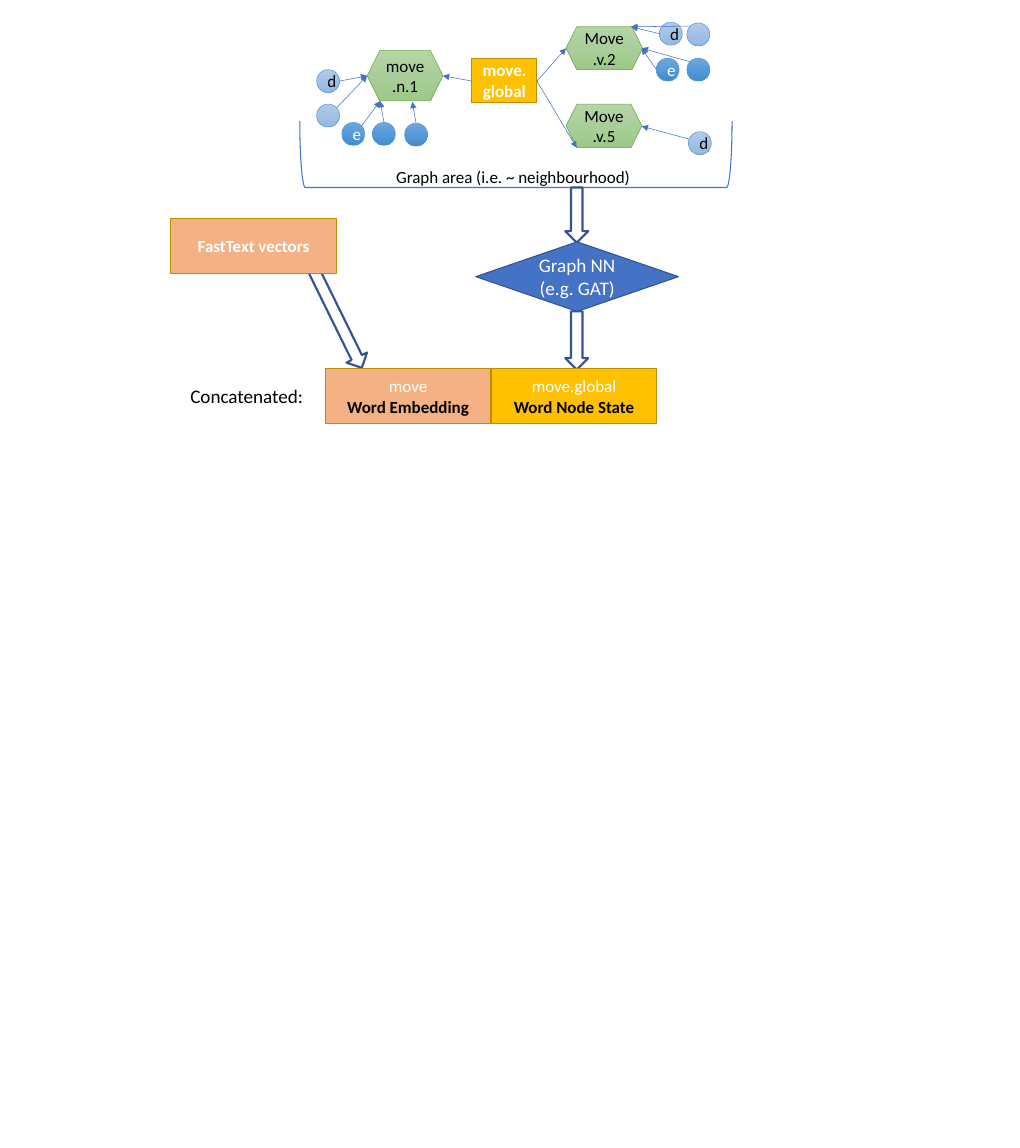
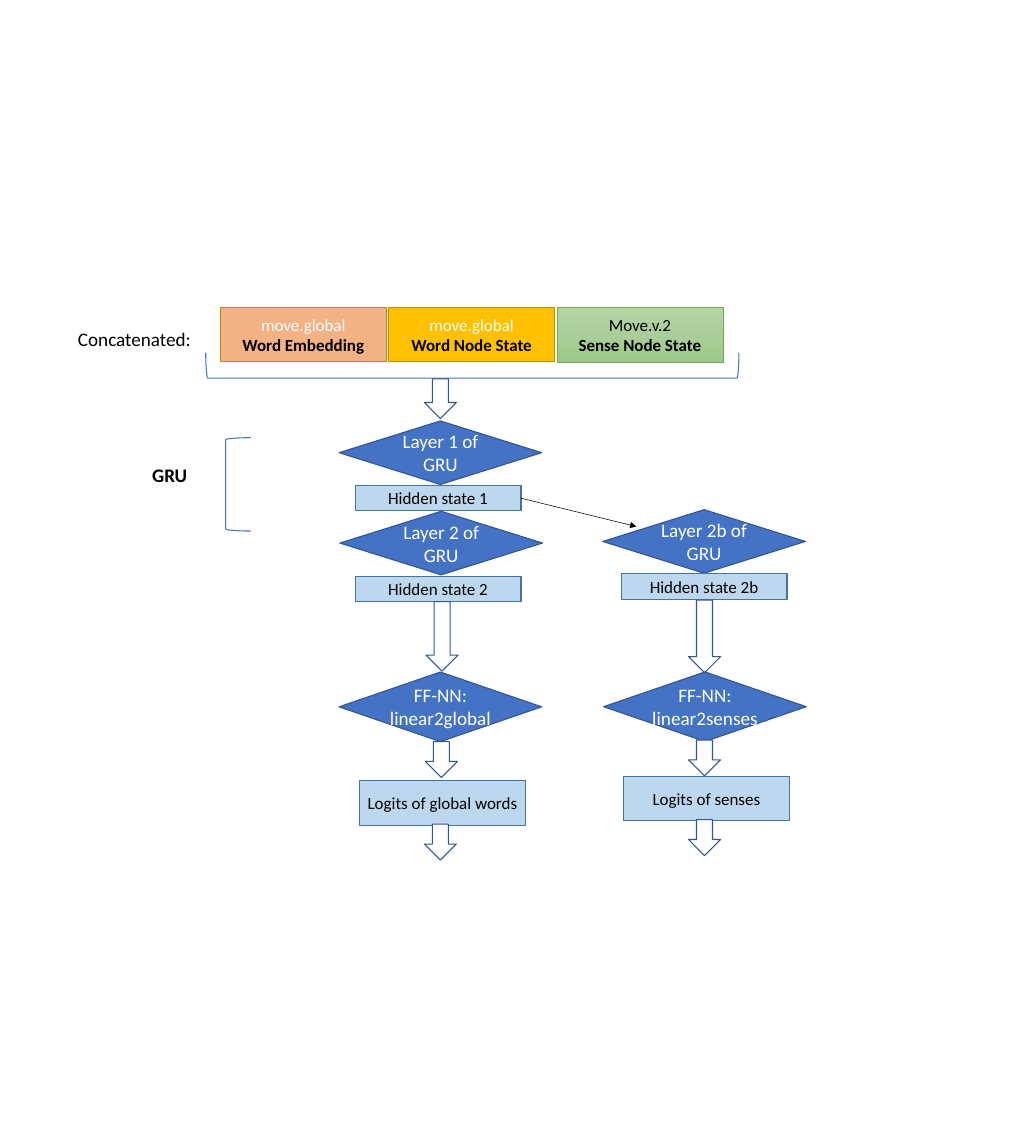
from copy import deepcopy

from lxml.etree import SubElement
from pptx import Presentation
from pptx.dml.color import RGBColor
from pptx.enum.shapes import MSO_CONNECTOR as Line, MSO_SHAPE as Preset
from pptx.enum.text import MSO_ANCHOR as Anchor, MSO_AUTO_SIZE as Fit, PP_ALIGN as Align
from pptx.oxml.ns import qn
from pptx.util import Pt

COLOURS = {
    "white": "FFFFFF", "black": "000000", "blue": "4472C4", "navy": "325491",
    "gold": "FFC000", "bronze": "BD8E00", "peach": "F4B183", "leaf": "70AD47",
    "pale": "BDD7EE", "steel": "43739E", "sky": "5B9BD5",
    "leaf0": "B5D5A7", "leaf1": "AACE9A", "leaf2": "9CC987",
    "light0": "B1CBE9", "light1": "A3C1E5", "light2": "93B9E4",
    "dark0": "71A6DB", "dark1": "559BDB", "dark2": "448ACA",
}
LEAF = ("leaf0", "leaf1", "leaf2")
LIGHT = ("light0", "light1", "light2")
DARK = ("dark0", "dark1", "dark2")

KINDS = {
    "sense": (Preset.HEXAGON, LEAF, "leaf", 0.5),
    "sense state": (Preset.RECTANGLE, LEAF, "leaf", 0.5),
    "definition": (Preset.OVAL, LIGHT, "sky", 0.5),
    "example": (Preset.OVAL, DARK, "sky", 0.5),
    "word": (Preset.RECTANGLE, "gold", "bronze", 1),
    "embedding": (Preset.RECTANGLE, "peach", "bronze", 1),
    "network": (Preset.DIAMOND, "blue", "navy", 1),
    "state": (Preset.RECTANGLE, "pale", "steel", 1),
    "flow": (Preset.DOWN_ARROW, "white", "navy", 1),
    "bracket": (Preset.LEFT_BRACKET, None, "blue", 1),
}
WHITE = {"color": "white", "size": 16, "bold": False}
BLACK = {**WHITE, "color": "black"}
WHITE_BOLD = {**WHITE, "bold": True}
BLACK_BOLD = {**BLACK, "bold": True}
WHITE_LARGE = {**WHITE, "size": 18}
BLACK_LARGE = {**BLACK, "size": 18}

CELL = (156.2, 51.1)
NODE = 21.6
WIDTHS = {"network": 190.8, "state": 156.2, "flow": 30.2}


def rgb(name):
    """Return the named colour."""
    return RGBColor.from_string(COLOURS[name])


def write(frame, text, *looks, align=Align.CENTER):
    """Write the lines of a text, each in its look; the last look carries on."""
    paragraph = frame.paragraphs[0]
    paragraph.alignment = align
    for index, line in enumerate(text.split("\n")):
        if index:
            paragraph.add_line_break()
            paragraph._p[-1].append(deepcopy(run._r.rPr))
        look = looks[min(index, len(looks) - 1)]
        run = paragraph.add_run()
        run.text = line
        run.font.color.rgb = rgb(look["color"])
        for name, value in {"name": "Calibri", "size": Pt(look["size"]), "bold": look["bold"]}.items():
            setattr(run.font, name, value)


def shade(fill, tones):
    """Fill with a vertical gradient of three tones."""
    fill.gradient()
    fill.gradient_angle = 270
    stops = fill._xPr.find(qn("a:gradFill")).find(qn("a:gsLst"))
    stops.append(deepcopy(stops[0]))
    for stop, tone, position in zip(fill.gradient_stops, tones, (0, 0.5, 1)):
        stop.color.rgb = rgb(tone)
        stop.position = position


def place(slide, kind, left, top, width, height, text="", *looks, **formats):
    """Place a shape of one kind with its text."""
    preset, fill, line, weight = KINDS[kind]
    shape = slide.shapes.add_shape(preset, Pt(left), Pt(top), Pt(width), Pt(height))
    shape.shadow.inherit = False
    if fill is None:
        shape.fill.background()
    elif isinstance(fill, tuple):
        shade(shape.fill, fill)
    else:
        shape.fill.solid()
        shape.fill.fore_color.rgb = rgb(fill)
    shape.line.color.rgb = rgb(line)
    shape.line.width = Pt(formats.pop("weight", weight))
    shape.rotation = formats.pop("rotation", 0)
    for name, value in {"vertical_anchor": Anchor.MIDDLE, "word_wrap": True, **formats}.items():
        setattr(shape.text_frame, name, value)
    if text:
        write(shape.text_frame, text, *looks)


def caption(slide, left, top, width, height, text, look):
    """Place a plain caption."""
    frame = slide.shapes.add_textbox(Pt(left), Pt(top), Pt(width), Pt(height)).text_frame
    for name, value in {"word_wrap": True, "auto_size": Fit.SHAPE_TO_FIT_TEXT}.items():
        setattr(frame, name, value)
    write(frame, text, look, align=Align.LEFT)


def arrow(slide, start, end, colour):
    """Draw a thin line with an arrowhead at its end."""
    edge = slide.shapes.add_connector(Line.STRAIGHT, *map(Pt, (*start, *end)))
    edge.line.color.rgb = rgb(colour)
    edge.line.width = Pt(0.5)
    SubElement(edge.line._get_or_add_ln(), qn("a:tailEnd"), type="triangle")
    SubElement(edge._element.spPr, qn("a:effectLst"))


def under_bracket(slide, left, top, width, height):
    """Place a bracket that opens upwards and fills the box."""
    place(slide, "bracket", left + (width - height) / 2, top + (height - width) / 2,
          height, width, rotation=270)


def graph_area(slide, left, top, width, height):
    """Draw the word, its senses and their definitions and examples."""
    def nodes(rows):
        for kind, x, y, text in rows:
            look = BLACK if kind == "definition" else WHITE
            place(slide, kind, left + x, top + y, NODE, NODE, text, look)

    for x, y, across, down, text in (
        (63.4, 26.6, 71.3, 47.5, "move.n.1"),
        (250.6, 4.3, 72, 40.3, "Move.v.2"),
        (250.6, 77, 71.3, 41, "Move.v.5"),
    ):
        place(slide, "sense", left + x, top + y, across, down, text, BLACK)
    nodes((
        ("definition", 338.4, 0, "d"), ("definition", 364.3, 0.7, ""),
        ("example", 335.5, 33.8, "e"), ("example", 364.3, 33.8, ""),
    ))
    place(slide, "word", left + 162, top + 33.8, 61.2, 41.8, "move.\nglobal", WHITE_BOLD)
    sources = {
        (63.4, 50.4): ((37.4, 55.4), (34.6, 80.6)),
        (75.6, 74.2): ((58.3, 97.2), (79.2, 94.3)),
        (105.8, 74.9): ((109.4, 95),),
        (311.8, 4.3): ((338.4, 10.8), (367.9, 3.6)),
        (321.8, 24.5): ((335.5, 44.6), (367.9, 37.4)),
        (321.8, 97.9): ((367.2, 110.2),),
        (134.6, 50.4): ((162, 55.4),),
        (250.6, 24.5): ((223.2, 55.4),),
        (260.6, 118.1): ((223.2, 55.4),),
    }
    for (end_x, end_y), starts in sources.items():
        for x, y in starts:
            arrow(slide, (left + x, top + y), (left + end_x, top + end_y), "blue")
    nodes((
        ("definition", 15.8, 44.6, "d"), ("definition", 15.8, 77, ""),
        ("example", 39.6, 94.3, "e"), ("example", 68.4, 94.3, ""),
        ("example", 98.6, 95, ""), ("definition", 365.8, 103, "d"),
    ))
    under_bracket(slide, left, top + 93, width, height - 93)
    caption(slide, left + 83.5, top + 131.8, 272.2, 26.6, "Graph area (i.e. ~ neighbourhood)", BLACK)


def concatenation(slide, left, top, pitch, label_gap, label_drop, cells):
    """Place the label and the joined vectors in a row."""
    for index, (kind, text) in enumerate(cells):
        heading = BLACK if kind == "sense state" else WHITE
        place(slide, kind, left + index * pitch, top, *CELL, text, heading, BLACK_BOLD)
    caption(slide, left - label_gap, top + label_drop, 126, 28.8, "Concatenated:", BLACK_LARGE)


def vector_flow(slide, left, top):
    """Lead the FastText vectors and the graph network down to the row."""
    place(slide, "flow", left + 146.1, top + 41.1, NODE, 104.4, rotation=333.8, weight=2)
    place(slide, "embedding", left, top, *CELL, "FastText vectors", WHITE_BOLD)
    for drop, height in ((-29.5, 51.8), (87.1, 54.7)):
        place(slide, "flow", left + 371.5, top + drop, NODE, height, weight=2)
    place(slide, "network", left + 287.2, top + 21.6, WIDTHS["network"], 65.5,
          "Graph NN\n(e.g. GAT)", WHITE_LARGE)


def network_column(slide, centre, top, steps):
    """Stack network layers, states and arrows around a centre line."""
    for kind, shift, drop, height, text in steps:
        width = WIDTHS[kind]
        look = WHITE_LARGE if kind == "network" else BLACK
        tight = {"word_wrap": False, "margin_left": Pt(2.9), "margin_right": Pt(2.9)}
        formats = tight if text.startswith("FF-NN") else {}
        place(slide, kind, centre + shift - width / 2, top + drop, width, height, text, look, **formats)


def gru_mark(slide, left, top):
    """Mark the recurrent layers with a bracket and its name."""
    place(slide, "bracket", left + 76.3, top, 23.8, 87.8)
    caption(slide, left, top + 20.9, 82, 28.8, "GRU", {**BLACK_LARGE, "bold": True})


def embedding_slide(slide):
    """Show how the word embedding and the node state are joined."""
    graph_area(slide, 282.2, 20.9, 406.8, 155.5)
    vector_flow(slide, 160.6, 205.9)
    concatenation(slide, 306, 347, CELL[0], 134, 11.5, (
        ("embedding", "move\nWord Embedding"),
        ("word", "move.global\nWord Node State"),
    ))


def prediction_slide(slide):
    """Show how the joined vectors give logits of words and senses."""
    concatenation(slide, 207.4, 289.4, 158.4, 141.1, 15.1, (
        ("embedding", "move.global\nWord Embedding"),
        ("word", "move.global\nWord Node State"),
        ("sense state", "Move.v.2\nSense Node State"),
    ))
    under_bracket(slide, 193.7, 331.9, 501.8, 23.8)
    network_column(slide, 414.5, 356.4, (
        ("flow", 0, 0, 37.4, ""),
        ("network", 0, 39.6, 59.8, "Layer 1 of GRU"),
        ("state", -2.2, 100.1, 23.8, "Hidden state 1"),
        ("network", 0.7, 124.6, 59.8, "Layer 2 of GRU"),
        ("state", -2.2, 185.8, 23.8, "Hidden state 2"),
        ("flow", 1.6, 209.5, 65.5, ""),
        ("network", 0, 275.8, 65.5, "FF-NN:\nlinear2global"),
        ("flow", 0.9, 341.3, 33.8, ""),
        ("state", 2, 378, 41.8, "Logits of global words"),
        ("flow", 0, 419, 33.8, ""),
    ))
    network_column(slide, 663.1, 479.5, (
        ("network", -0.4, 0, 59.8, "Layer 2b of GRU"),
        ("state", -0.4, 60.5, 23.8, "Hidden state 2b"),
        ("flow", 0, 85, 68.4, ""),
        ("network", 0.4, 152.6, 65.5, "FF-NN:\nlinear2senses"),
        ("flow", 0, 216.7, 33.8, ""),
        ("state", 1.8, 250.6, 41.8, "Logits of senses"),
        ("flow", 0, 291.6, 33.8, ""),
    ))
    arrow(slide, (490.3, 468.7), (599, 495.4), "black")
    gru_mark(slide, 136.1, 411.8)


deck = Presentation()
deck.slide_width, deck.slide_height = Pt(960), Pt(1080)
for build in (embedding_slide, prediction_slide):
    build(deck.slides.add_slide(deck.slide_layouts[6]))
deck.save("out.pptx")
